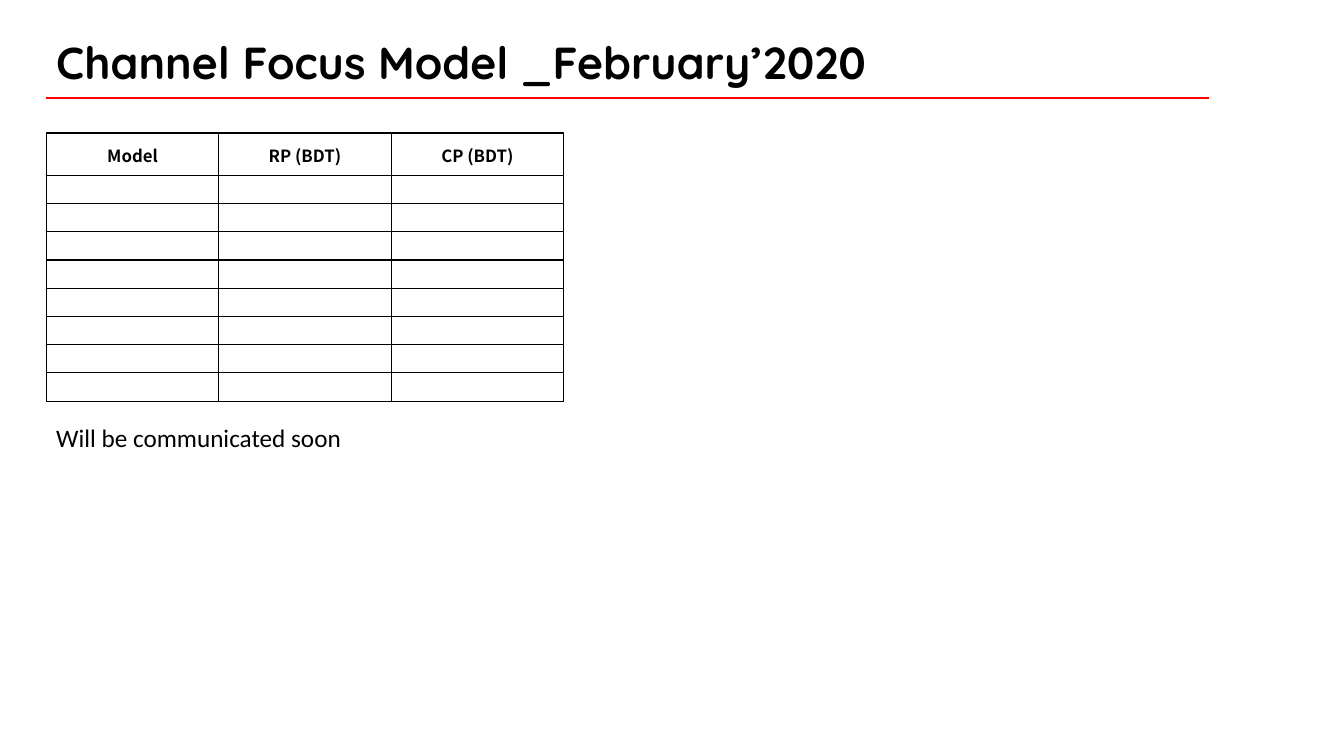
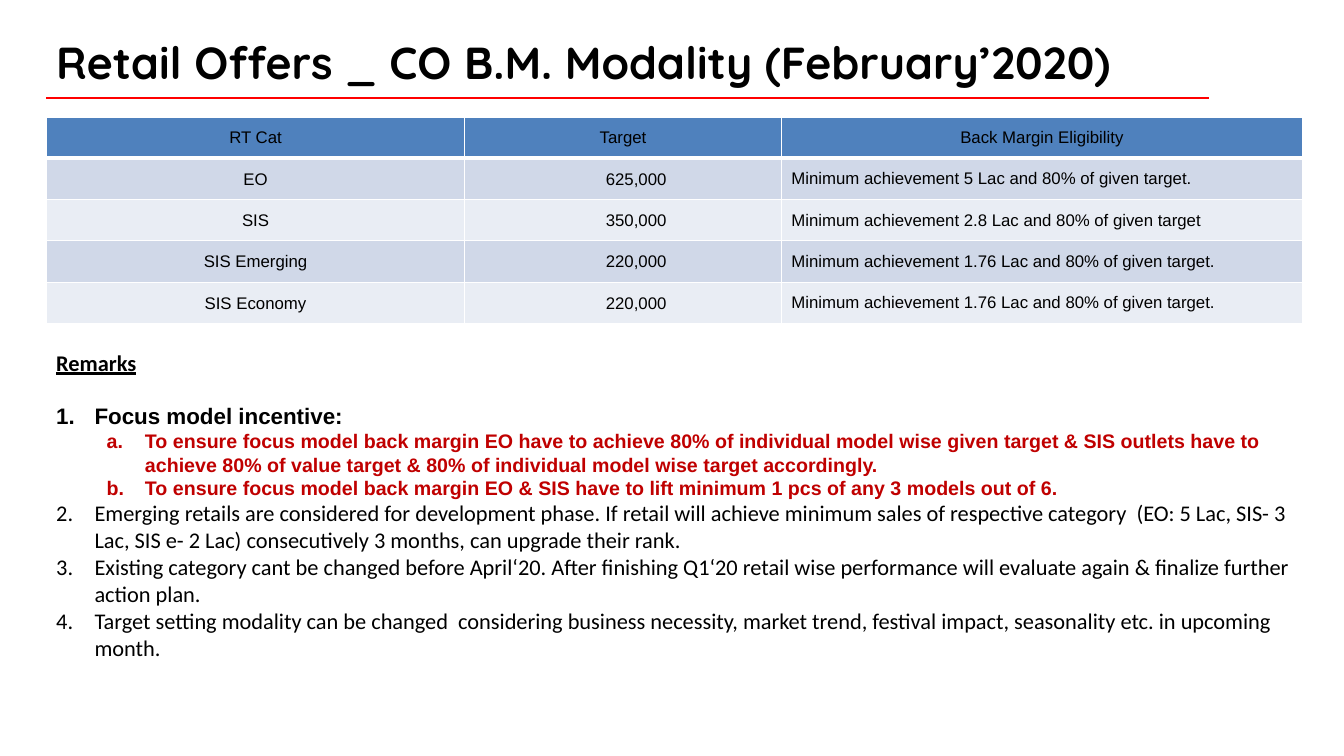
from lxml.etree import SubElement
from pptx import Presentation
from pptx.dml.color import RGBColor
from pptx.enum.shapes import MSO_CONNECTOR
from pptx.enum.text import MSO_ANCHOR as ANCHOR, PP_ALIGN as ALIGN
from pptx.oxml.ns import qn
from pptx.util import Inches, Pt

COLORS = {
    "text": "000000",
    "rule": "FF0000",
    "alert": "C00000",
    "white": "FFFFFF",
    "header": "4F81BD",
    "band_dark": "D0D8E8",
    "band_light": "E9EDF4",
}
LEFT, WIDTH = 0.46, 12.46
TIGHT = (0.01, 0.01, 0.01, 0)
ROOMY = (0.1, 0.05, 0.1, 0.05)
INDENTED = (0.27, 0.01, 0.01, 0)


def rgb(name):
    return RGBColor.from_string(COLORS[name])


def add_run(p, text, size, font, color="text", bold=False, underline=False):
    r = p.add_run()
    r.text = text
    r.font.size = Pt(size)
    r.font.name = font
    r.font.color.rgb = rgb(color)
    r.font.bold = bold
    r.font.underline = underline
    r_pr = r.font._element
    for tag in ("a:ea", "a:cs"):
        SubElement(r_pr, qn(tag), typeface=font)


def add_text_frame(s, box, wrap=True, anchor=ANCHOR.TOP):
    tf = s.shapes.add_textbox(*map(Inches, box)).text_frame
    tf.word_wrap = wrap
    tf.vertical_anchor = anchor
    return tf


def add_heading(s, text):
    line = s.shapes.add_connector(
        MSO_CONNECTOR.STRAIGHT, Inches(11.99), Inches(0.97), Inches(LEFT), Inches(0.97))
    line.line.color.rgb = rgb("rule")
    line.line.width = Pt(1.5)
    SubElement(line._element.spPr, qn("a:effectLst"))
    tf = add_text_frame(s, (LEFT, 0.07, WIDTH, 0.86), anchor=ANCHOR.BOTTOM)
    p = tf.paragraphs[0]
    p.line_spacing = 0.9
    add_run(p, text, 32, "Quicksand", bold=True)


def set_borders(cell, color, bottom=1):
    tc_pr = cell._tc.get_or_add_tcPr()
    for side, width in (("L", 1), ("R", 1), ("T", 1), ("B", bottom)):
        ln = SubElement(tc_pr, qn(f"a:ln{side}"), w=str(Pt(width)))
        SubElement(SubElement(ln, qn("a:solidFill")), qn("a:srgbClr"), val=COLORS[color])


def style_cell(cell, margins, border, fill=None, bottom=1):
    set_borders(cell, border, bottom)
    if fill:
        cell.fill.solid()
        cell.fill.fore_color.rgb = rgb(fill)
    else:
        cell.fill.background()
    cell.vertical_anchor = ANCHOR.MIDDLE
    (cell.margin_left, cell.margin_top,
     cell.margin_right, cell.margin_bottom) = map(Inches, margins)


def add_grid(s, left, top, widths, heights):
    table = s.shapes.add_table(
        len(heights), len(widths), Inches(left), Inches(top),
        Inches(sum(widths)), Inches(sum(heights))).table
    table.first_row = table.horz_banding = False
    for column, width in zip(table.columns, widths):
        column.width = Inches(width)
    for row, height in zip(table.rows, heights):
        row.height = Inches(height)
    return table


def add_model_table(s, left, top, headers, empty_rows):
    table = add_grid(s, left, top, [1.71] * len(headers), [0.42] + [0.28] * empty_rows)
    for cell in table.iter_cells():
        style_cell(cell, TIGHT, "text")
        SubElement(cell.text_frame.paragraphs[0]._p, qn("a:endParaRPr"), sz="1200")
    for c, text in enumerate(headers):
        p = table.cell(0, c).text_frame.paragraphs[0]
        p.alignment = ALIGN.CENTER
        add_run(p, text, 12, "Noto Sans CJK KR", bold=True)


def add_offer_table(s, left, top, rows):
    table = add_grid(s, left, top, [4.15, 3.14, 5.17], [0.41] * len(rows))
    for i, row in enumerate(rows):
        header = i == 0
        fill = "header" if header else ("band_light", "band_dark")[i % 2]
        body_margins = (TIGHT, TIGHT if header else INDENTED, ROOMY)
        for c, text in enumerate(row):
            cell = table.cell(i, c)
            style_cell(cell, body_margins[c], "white", fill, bottom=3 if header else 1)
            p = cell.text_frame.paragraphs[0]
            p.alignment = ALIGN.CENTER if header or c < 2 else ALIGN.LEFT
            add_run(p, text, 12, "Arial")


def number_paragraph(p, level, scheme):
    p.level = level
    p_pr = p._p.get_or_add_pPr()
    p_pr.set("marL", str(Inches(0.38 + 0.5 * level)))
    p_pr.set("indent", str(Inches(-0.38)))
    SubElement(p_pr, qn("a:buFont"), typeface="+mj-lt")
    SubElement(p_pr, qn("a:buAutoNum"), type=scheme)


def add_remarks(s, box, title, items):
    styles = {
        "lead": (0, "arabicPeriod", dict(size=16, font="Arial", bold=True)),
        "alert": (1, "alphaLcPeriod", dict(size=14, font="Arial", color="alert", bold=True)),
        "plain": (0, "arabicPeriod", dict(size=16, font="Calibri")),
    }
    tf = add_text_frame(s, box)
    p = tf.paragraphs[0]
    p.space_after = Pt(19)
    add_run(p, title, 16, "Calibri", bold=True, underline=True)
    for kind, text in items:
        level, scheme, look = styles[kind]
        p = tf.add_paragraph()
        number_paragraph(p, level, scheme)
        add_run(p, text, **look)


def build_focus_slide(s):
    add_heading(s, "Channel Focus Model _February’2020")
    add_model_table(s, LEFT, 1.32, ("Model", "RP (BDT)", "CP (BDT)"), 8)
    tf = add_text_frame(s, (LEFT, 4.14, 3.06, 0.4), wrap=False)
    add_run(tf.paragraphs[0], "Will be communicated soon", 18, "Calibri")


def build_offers_slide(s):
    add_heading(s, "Retail Offers _ CO B.M. Modality (February’2020)")
    add_remarks(s, (LEFT, 3.41, WIDTH, 3.23), "Remarks", [
        ("lead", "Focus model incentive:"),
        ("alert", "To ensure focus model back margin EO have to achieve 80% of individual model "
                  "wise given target & SIS outlets have to achieve 80% of value target & 80% of "
                  "individual model wise target accordingly."),
        ("alert", "To ensure focus model back margin EO & SIS have to lift minimum 1 pcs of any "
                  "3 models out of 6."),
        ("plain", "Emerging retails are considered for development phase. If retail will achieve "
                  "minimum sales of respective category  (EO: 5 Lac, SIS- 3 Lac, SIS e- 2 Lac) "
                  "consecutively 3 months, can upgrade their rank."),
        ("plain", "Existing category cant be changed before April‘20. After finishing Q1‘20 "
                  "retail wise performance will evaluate again & finalize further action plan."),
        ("plain", "Target setting modality can be changed  considering business necessity, market "
                  "trend, festival impact, seasonality etc. in upcoming month."),
    ])
    add_offer_table(s, LEFT, 1.16, [
        ("RT Cat", "Target", "Back Margin Eligibility"),
        ("EO", "625,000", "Minimum achievement 5 Lac and 80% of given target."),
        ("SIS", "350,000", "Minimum achievement 2.8 Lac and 80% of given target"),
        ("SIS Emerging", "220,000", "Minimum achievement 1.76 Lac and 80% of given target."),
        ("SIS Economy", "220,000", "Minimum achievement 1.76 Lac and 80% of given target."),
    ])


def main():
    prs = Presentation()
    prs.slide_width, prs.slide_height = Inches(13.33), Inches(7.5)
    for build in (build_focus_slide, build_offers_slide):
        build(prs.slides.add_slide(prs.slide_layouts[6]))
    prs.save("out.pptx")


if __name__ == "__main__":
    main()
